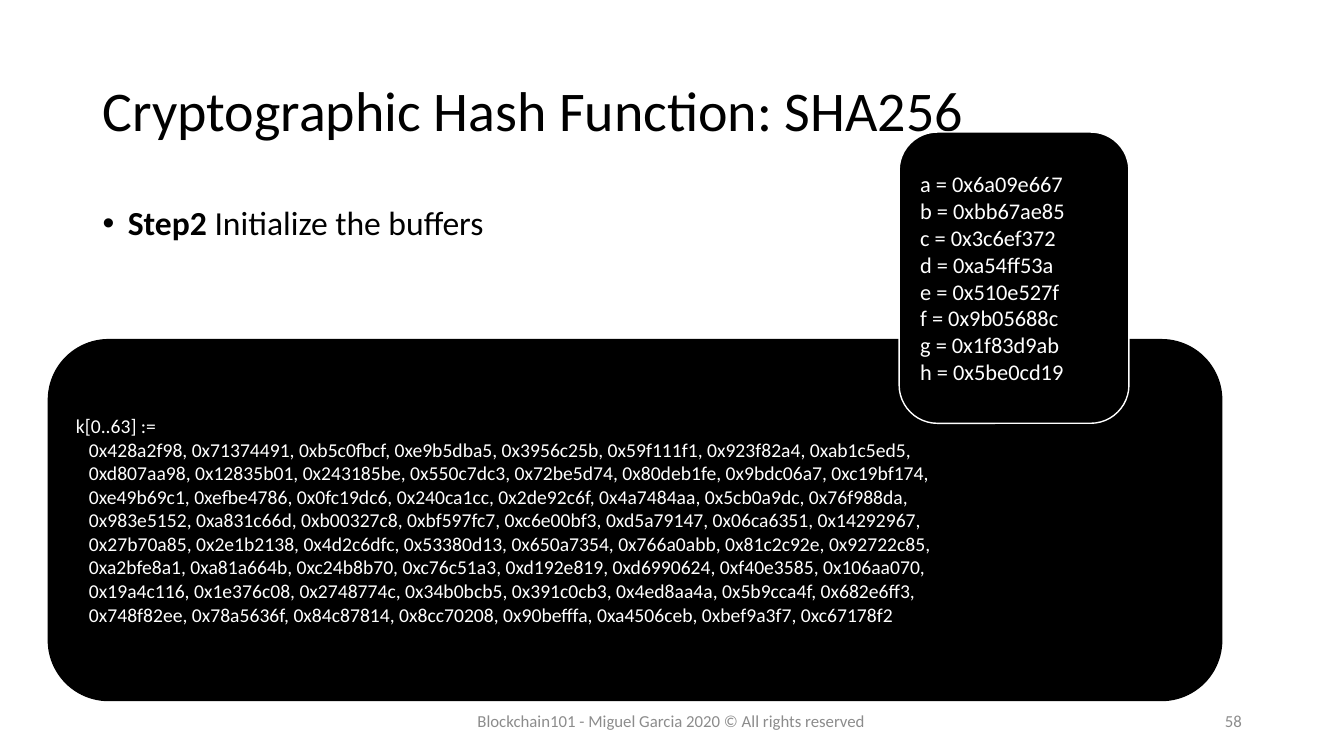
from dataclasses import dataclass

from pptx import Presentation
from pptx import util as u
from pptx.dml.color import RGBColor
from pptx.enum import shapes, text
from pptx.oxml.ns import qn
from lxml import etree

SLIDE_W, SLIDE_H = u.Inches(13.333), u.Inches(7.5)
FONT = "Calibri"
BLACK, WHITE, GREY = "000000", "FFFFFF", "8C8C8C"
LEFT, CENTER, RIGHT = text.PP_ALIGN.LEFT, text.PP_ALIGN.CENTER, text.PP_ALIGN.RIGHT
MIDDLE, TOP = text.MSO_ANCHOR.MIDDLE, text.MSO_ANCHOR.TOP

ROUND_CONSTANTS = [
    "k[0..63] :=",
    "0x428a2f98, 0x71374491, 0xb5c0fbcf, 0xe9b5dba5, 0x3956c25b, 0x59f111f1, 0x923f82a4, 0xab1c5ed5,",
    "0xd807aa98, 0x12835b01, 0x243185be, 0x550c7dc3, 0x72be5d74, 0x80deb1fe, 0x9bdc06a7, 0xc19bf174,",
    "0xe49b69c1, 0xefbe4786, 0x0fc19dc6, 0x240ca1cc, 0x2de92c6f, 0x4a7484aa, 0x5cb0a9dc, 0x76f988da,",
    "0x983e5152, 0xa831c66d, 0xb00327c8, 0xbf597fc7, 0xc6e00bf3, 0xd5a79147, 0x06ca6351, 0x14292967,",
    "0x27b70a85, 0x2e1b2138, 0x4d2c6dfc, 0x53380d13, 0x650a7354, 0x766a0abb, 0x81c2c92e, 0x92722c85,",
    "0xa2bfe8a1, 0xa81a664b, 0xc24b8b70, 0xc76c51a3, 0xd192e819, 0xd6990624, 0xf40e3585, 0x106aa070,",
    "0x19a4c116, 0x1e376c08, 0x2748774c, 0x34b0bcb5, 0x391c0cb3, 0x4ed8aa4a, 0x5b9cca4f, 0x682e6ff3,",
    "0x748f82ee, 0x78a5636f, 0x84c87814, 0x8cc70208, 0x90befffa, 0xa4506ceb, 0xbef9a3f7, 0xc67178f2",
]
BUFFER_VALUES = ["0x6a09e667", "0xbb67ae85", "0x3c6ef372", "0xa54ff53a",
                 "0x510e527f", "0x9b05688c", "0x1f83d9ab", "0x5be0cd19"]
BUFFERS = [f"{name} = {value}" for name, value in zip("abcdefgh", BUFFER_VALUES)]


@dataclass
class Block:
    box: tuple[float, float, float, float]
    lines: list[str]
    size: int
    color: str = BLACK
    lead: str = ""
    align: text.PP_ALIGN = LEFT
    anchor: text.MSO_ANCHOR = MIDDLE
    outline: str = ""
    hanging: float = 0
    bullet: str = ""
    line_spacing: float = 1
    space_before: int = 0


BLOCKS = [
    Block((3.6, 44.93, 87.3, 47.73), ROUND_CONSTANTS, 14, WHITE, outline=BLACK, hanging=0.13),
    Block((6.9, 5.33, 86.25, 19.33), ["Cryptographic Hash Function: SHA256"], 40, line_spacing=0.9),
    Block((70.65, 92.67, 22.5, 5.33), ["58"], 12, GREY, align=RIGHT),
    Block((6.9, 26.67, 86.25, 15.87), ["Initialize the buffers"], 24, lead="Step2 ",
          anchor=TOP, hanging=0.25, bullet="•", line_spacing=0.9, space_before=10),
    Block((30.53, 92.67, 38.85, 5.33), ["Blockchain101 - Miguel Garcia 2020 © All rights reserved"],
          12, GREY, align=CENTER),
    Block((66.9, 17.47, 17.1, 38.53), BUFFERS, 16, WHITE, outline=WHITE),
]


def rgb(color: str) -> RGBColor:
    return RGBColor.from_string(color)


def add_run(p, content: str, block: Block, bold: bool = False) -> None:
    r = p.add_run()
    r.text = content
    r.font.name = FONT
    r.font.size = u.Pt(block.size)
    r.font.bold = bold
    r.font.color.rgb = rgb(block.color)


def set_indent(p, block: Block) -> None:
    pPr = p._p.get_or_add_pPr()
    pPr.set("marL", str(u.Inches(block.hanging)))
    pPr.set("indent", str(-u.Inches(block.hanging)))
    if block.bullet:
        etree.SubElement(pPr, qn("a:buFont")).set("typeface", "Arial")
        etree.SubElement(pPr, qn("a:buChar")).set("char", block.bullet)


def add_block(s, block: Block) -> None:
    x, y, w, h = block.box
    place = [u.Emu(int(share * side / 100))
             for share, side in ((x, SLIDE_W), (y, SLIDE_H), (w, SLIDE_W), (h, SLIDE_H))]
    if block.outline:
        sp = s.shapes.add_shape(shapes.MSO_SHAPE.ROUNDED_RECTANGLE, *place)
        sp.shadow.inherit = False
        sp.fill.solid()
        sp.fill.fore_color.rgb = rgb(BLACK)
        sp.line.color.rgb = rgb(block.outline)
        sp.line.width = u.Pt(1)
    else:
        sp = s.shapes.add_textbox(*place)
    tf = sp.text_frame
    tf.word_wrap = True
    tf.vertical_anchor = block.anchor
    p = tf.paragraphs[0]
    p.alignment = block.align
    p.line_spacing = block.line_spacing
    p.space_before = u.Pt(block.space_before)
    set_indent(p, block)
    if block.lead:
        add_run(p, block.lead, block, bold=True)
    for i, line in enumerate(block.lines):
        if i:
            p.add_line_break()
        add_run(p, line, block)


def main() -> None:
    prs = Presentation()
    prs.slide_width, prs.slide_height = SLIDE_W, SLIDE_H
    s = prs.slides.add_slide(prs.slide_layouts[6])
    for block in BLOCKS:
        add_block(s, block)
    prs.save("out.pptx")


if __name__ == "__main__":
    main()
